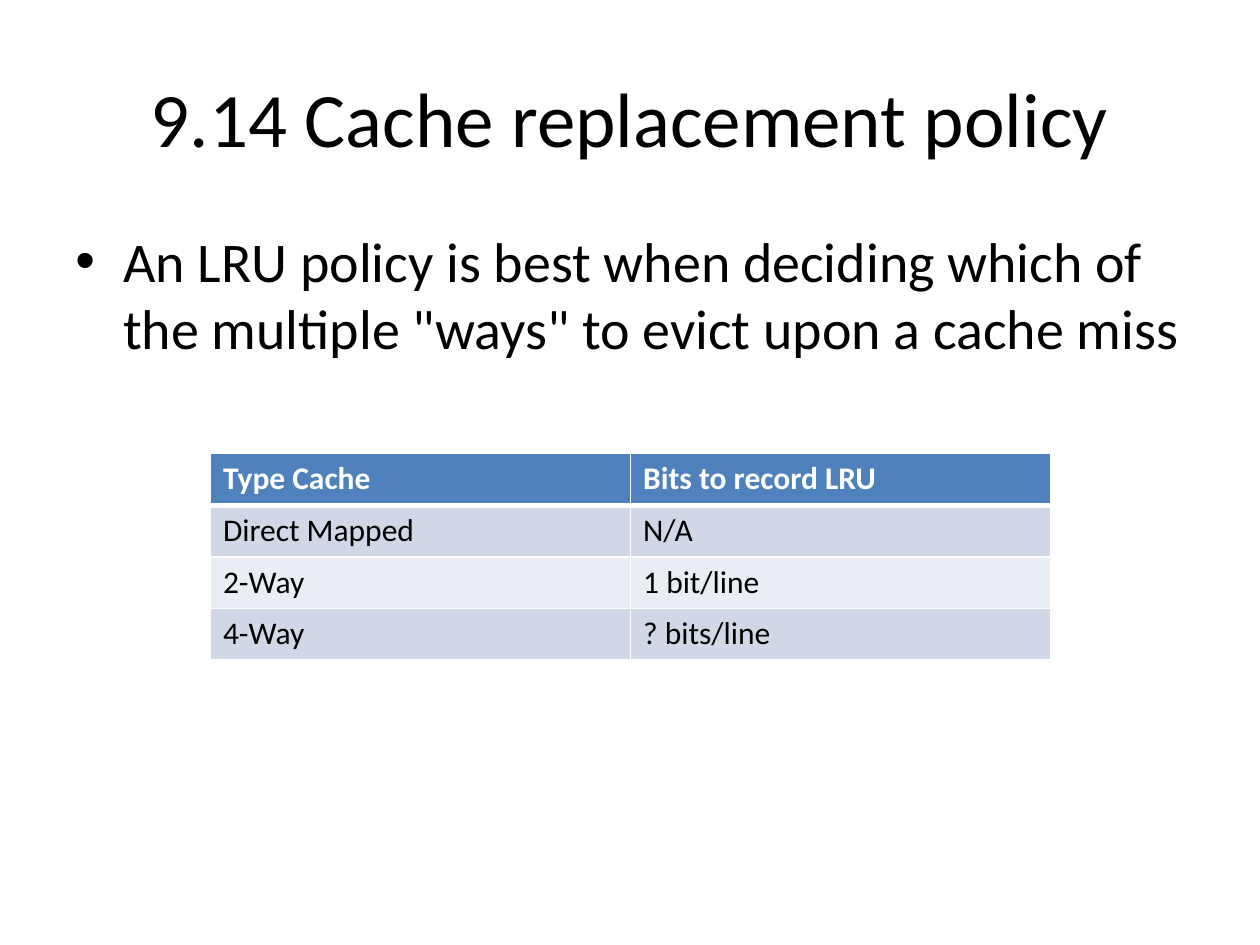
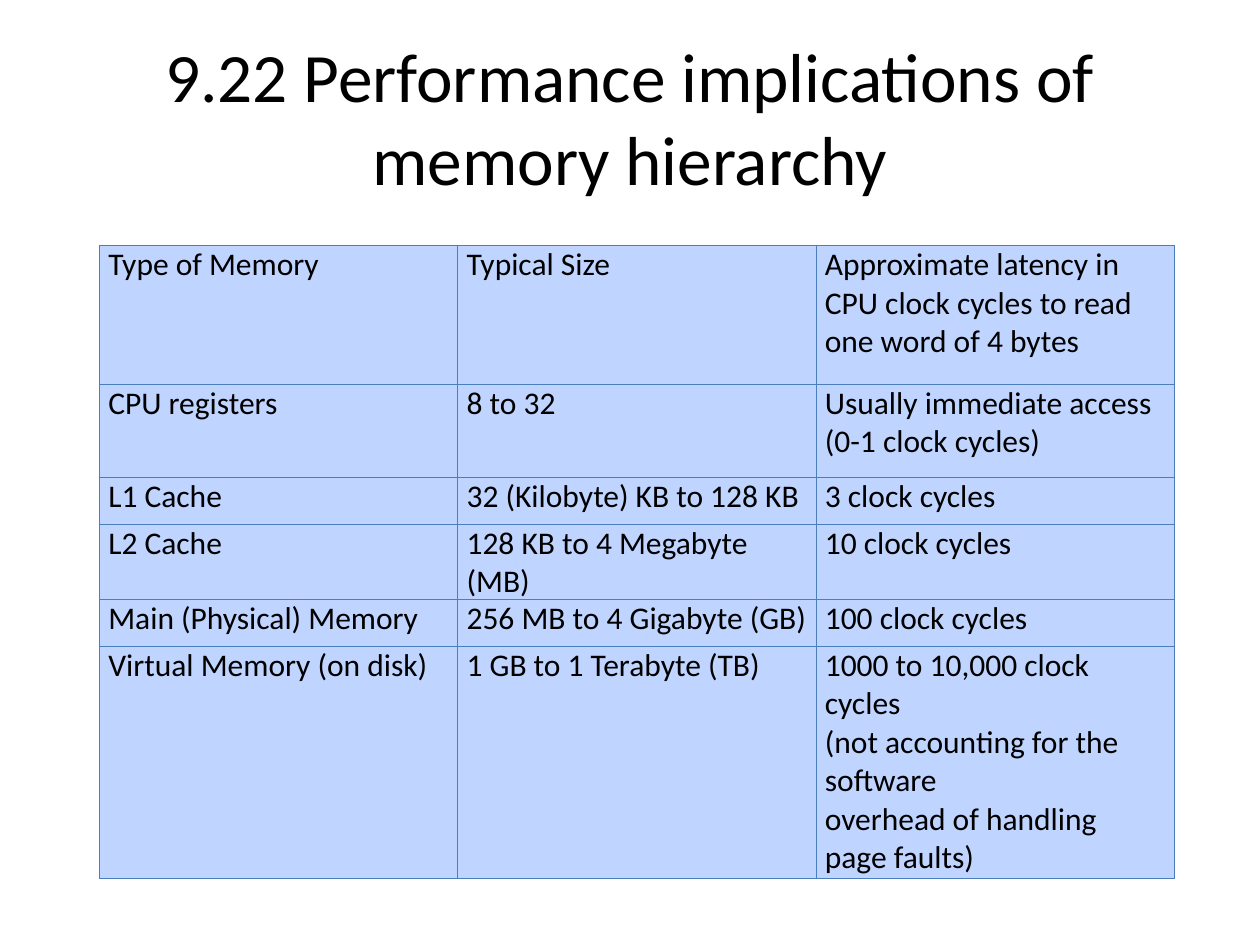
from dataclasses import dataclass

from lxml.etree import SubElement
from pptx import Presentation
from pptx.dml.color import RGBColor
from pptx.enum.text import MSO_ANCHOR, PP_ALIGN
from pptx.oxml import parse_xml
from pptx.oxml.ns import nsdecls, qn
from pptx.util import Inches, Pt

POLICY = {
    "title": "9.14 Cache replacement policy",
    "bullet": 'An LRU policy is best when deciding which of the multiple "ways" '
              "to evict upon a cache miss",
    "rows": [
        ("Type Cache", "Bits to record LRU"),
        ("Direct Mapped", "N/A"),
        ("2-Way", "1 bit/line"),
        ("4-Way", "? bits/line"),
    ],
}
HIERARCHY = {
    "title": "9.22 Performance implications of memory hierarchy",
    "rows": [
        ("Type of Memory", "Typical Size",
         "Approximate latency in\nCPU clock cycles to read\none word of 4 bytes"),
        ("CPU registers", "8 to 32", "Usually immediate access\n(0-1 clock cycles)"),
        ("L1 Cache", "32 (Kilobyte) KB to 128 KB", "3 clock cycles"),
        ("L2 Cache", "128 KB to 4 Megabyte (MB)", "10 clock cycles"),
        ("Main (Physical) Memory", "256 MB to 4 Gigabyte (GB)", "100 clock cycles"),
        ("Virtual Memory (on disk)", "1 GB to 1 Terabyte (TB)",
         "1000 to 10,000 clock cycles\n(not accounting for the software\n"
         "overhead of handling page faults)"),
    ],
}


@dataclass(frozen=True)
class Theme:
    font: str = "Calibri"
    text: str = "000000"
    white: str = "FFFFFF"
    header: str = "4F81BD"
    bands: tuple = ("D0D8E8", "E9EDF4")
    sheet: str = "BFD4FF"
    grid: str = "4B7EBC"
    title_size: float = 44
    long_title_size: float = 39.6
    body_size: float = 32
    table_size: float = 18


THEME = Theme()


def write(frame, text, size, color=THEME.text, bold=False, align=PP_ALIGN.LEFT):
    """Fill a text frame, one paragraph per line of text."""
    frame.word_wrap = True
    for index, line in enumerate(text.split("\n")):
        para = frame.paragraphs[0] if index == 0 else frame.add_paragraph()
        para.alignment = align
        span = para.add_run()
        span.text = line
        formats = {"name": THEME.font, "size": Pt(size), "bold": bold}
        for name, value in formats.items():
            setattr(span.font, name, value)
        span.font.color.rgb = RGBColor.from_string(color)


def add_text(page, place, text, size, anchor=MSO_ANCHOR.TOP, **formats):
    box = page.shapes.add_textbox(*map(Inches, place))
    box.text_frame.vertical_anchor = anchor
    write(box.text_frame, text, size, **formats)
    return box


def add_page(deck, title, size):
    page = deck.slides.add_slide(deck.slide_layouts[6])
    add_text(page, (0.5, 0.3, 9, 1.25), title, size,
             anchor=MSO_ANCHOR.MIDDLE, align=PP_ALIGN.CENTER)
    return page


def add_bullet(page, place, text):
    box = add_text(page, place, text, THEME.body_size)
    properties = box.text_frame.paragraphs[0]._p.get_or_add_pPr()
    indent = Inches(0.38)
    properties.set("marL", str(indent))
    properties.set("indent", str(-indent))
    SubElement(properties, qn("a:buFont"), typeface="Arial")
    SubElement(properties, qn("a:buChar"), char="•")


def set_borders(cell, color, widths):
    """Draw the cell edges; widths are points for left, right, top, bottom."""
    properties = cell._tc.get_or_add_tcPr()
    for index, (side, width) in enumerate(zip("LRTB", widths)):
        properties.insert(index, parse_xml(
            f'<a:ln{side} {nsdecls("a")} w="{Pt(width)}"><a:solidFill>'
            f'<a:srgbClr val="{color}"/></a:solidFill></a:ln{side}>'))


def add_grid(page, rows, left, top, width, heights, style, margins=None):
    """Add a table; style(row) gives its fill, border colour, widths and text formats."""
    table = page.shapes.add_table(
        len(rows), len(rows[0]), Inches(left), Inches(top),
        Inches(width), Inches(sum(heights))).table
    table.first_row = table.horz_banding = False
    for row, texts in enumerate(rows):
        table.rows[row].height = Inches(heights[row])
        fill, line, widths, formats = style(row)
        for column, text in enumerate(texts):
            cell = table.cell(row, column)
            for name, value in (margins or {}).items():
                setattr(cell, name, value)
            cell.fill.solid()
            cell.fill.fore_color.rgb = RGBColor.from_string(fill)
            set_borders(cell, line, widths)
            write(cell.text_frame, text, THEME.table_size, **formats)


def policy_style(row):
    if row == 0:
        return THEME.header, THEME.white, (1, 1, 1, 3), {"color": THEME.white, "bold": True}
    top = 3 if row == 1 else 1
    return THEME.bands[(row - 1) % 2], THEME.white, (1, 1, top, 1), {}


def hierarchy_style(row):
    return THEME.sheet, THEME.grid, (0.75,) * 4, {}


def main():
    deck = Presentation()
    deck.slide_width, deck.slide_height = Inches(10), Inches(7.5)

    page = add_page(deck, POLICY["title"], THEME.title_size)
    add_bullet(page, (0.5, 1.75, 9, 1.85), POLICY["bullet"])
    add_grid(page, POLICY["rows"], 1.67, 3.6, 6.67, [0.41] * 4, policy_style)

    page = add_page(deck, HIERARCHY["title"], THEME.long_title_size)
    side = Inches(0.07)
    add_grid(page, HIERARCHY["rows"], 0.79, 1.95, 8.53,
             [1.1, 0.74, 0.37, 0.37, 0.37, 1.84], hierarchy_style,
             {"margin_left": side, "margin_right": side,
              "margin_top": 0, "margin_bottom": 0})

    deck.save("out.pptx")


if __name__ == "__main__":
    main()
